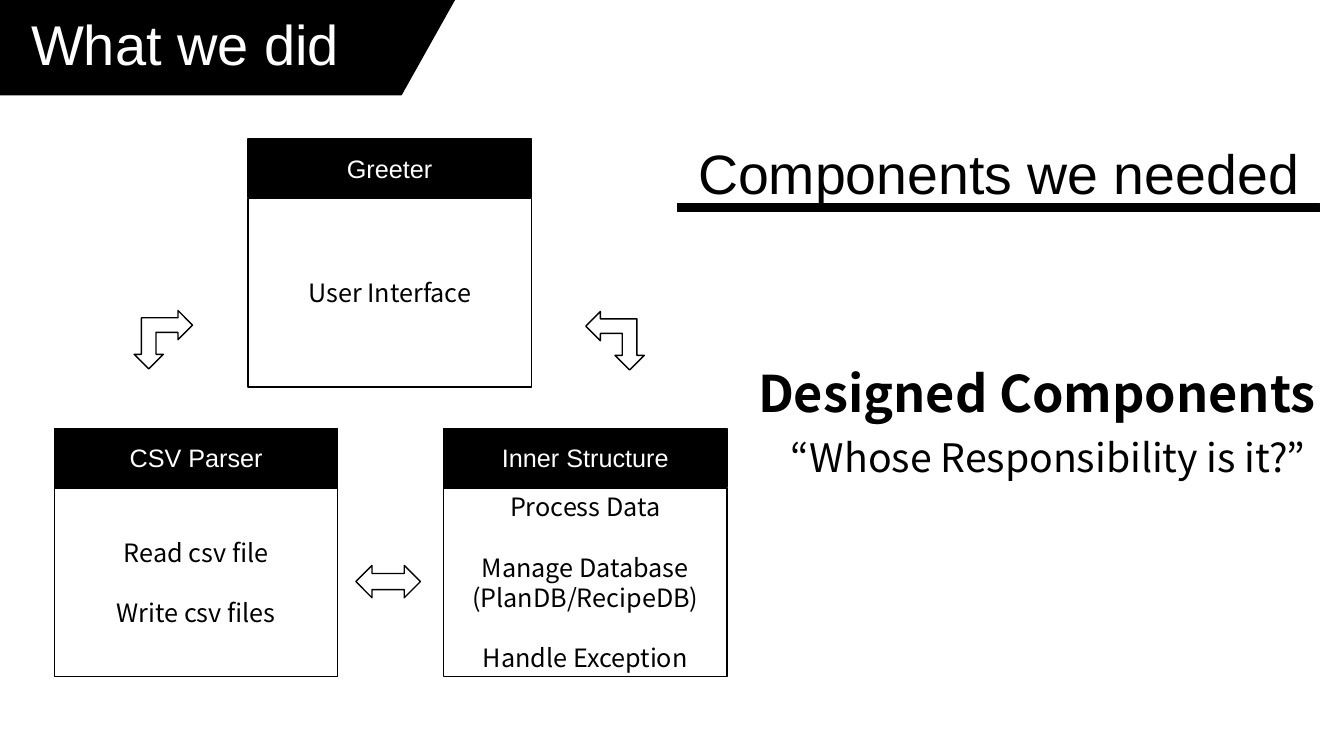
"""Build the slide that shows which components were designed."""
from pptx import Presentation
from pptx.dml.color import RGBColor
from pptx.enum.shapes import MSO_SHAPE
from pptx.enum.text import MSO_ANCHOR, PP_ALIGN
from pptx.util import Inches, Pt

RECT = MSO_SHAPE.RECTANGLE
BAR = MSO_SHAPE.FLOWCHART_PROCESS
BANNER = MSO_SHAPE.PARALLELOGRAM
BENT = MSO_SHAPE.LEFT_UP_ARROW
DOUBLE = MSO_SHAPE.LEFT_RIGHT_ARROW
MIDDLE, TOP = MSO_ANCHOR.MIDDLE, MSO_ANCHOR.TOP
LEFT, CENTER = PP_ALIGN.LEFT, PP_ALIGN.CENTER

THEME = {
    "black": RGBColor(0, 0, 0),
    "white": RGBColor(255, 255, 255),
    "head": "Arial",
    "body": "Noto Sans CJK KR",
    "title": 40,
    "topic": 39.6,
    "claim": 36,
    "quote": 28,
    "card": 18,
    "gap": 21.5,
    "line": 1,
}

CARDS = [
    (2.46, 1.38, "Greeter", ["User Interface"]),
    (0.54, 4.25, "CSV Parser", ["Read csv file", "Write csv files"]),
    (4.4, 4.25, "Inner Structure",
     ["Process Data", "Manage Database\v(PlanDB/RecipeDB)", "Handle Exception"]),
]
WIDE, HEAD, BODY, STEP = 2.81, 0.58, 1.87, 0.59

ARROWS = [
    (BENT, (5.81, 3.09, 0.58, 0.58), 270),
    (BENT, (1.33, 3.08, 0.58, 0.58), 180),
    (DOUBLE, (3.53, 5.61, 0.64, 0.32), 0),
]

LABELS = [
    ("Components we needed", (6.72, 1.15, 6.37, 1.21), "head", "topic", "black", CENTER, MIDDLE, False),
    ("Designed Components", (7.32, 3.54, 5.93, 0.71), "body", "claim", "black", CENTER, TOP, True),
    ("“Whose Responsibility is it?”", (7.43, 4.25, 5.93, 0.57), "body", "quote", "black", CENTER, TOP, False),
    ("What we did", (0.21, 0.05, 3.29, 0.77), "head", "title", "white", LEFT, TOP, False),
]


def write(frame, lines, font, size, color, align=CENTER, anchor=MIDDLE, bold=False):
    frame.text = "\n".join(lines)
    frame.word_wrap = True
    frame.vertical_anchor = anchor
    for i, para in enumerate(frame.paragraphs):
        para.alignment = align
        if i:
            para.space_before = Pt(THEME["gap"])
        for run in para.runs:
            run.font.name = THEME[font]
            run.font.size = Pt(THEME[size])
            run.font.color.rgb = THEME[color]
            run.font.bold = bold


def draw(slide, kind, box, fill):
    shape = slide.shapes.add_shape(kind, *map(Inches, box))
    shape.shadow.inherit = False
    shape.fill.solid()
    shape.fill.fore_color.rgb = THEME[fill]
    shape.line.color.rgb = THEME["black"]
    shape.line.width = Pt(THEME["line"])
    return shape


def main():
    deck = Presentation()
    deck.slide_width, deck.slide_height = Inches(13.33), Inches(7.5)
    slide = deck.slides.add_slide(deck.slide_layouts[6])

    draw(slide, BAR, (6.72, 2.02, 6.37, 0.08), "black")
    for x, y, name, tasks in CARDS:
        body = draw(slide, RECT, (x, y + STEP, WIDE, BODY), "white")
        write(body.text_frame, tasks, "body", "card", "black")
        head = draw(slide, RECT, (x, y, WIDE, HEAD), "black")
        write(head.text_frame, [name], "head", "card", "white")

    for kind, box, turn in ARROWS:
        draw(slide, kind, box, "white").rotation = turn

    banner = draw(slide, BANNER, (-0.91, -0.99, 5.97, 1.93), "black")
    banner.adjustments[0] = 0.56

    for text, box, *style in LABELS:
        label = slide.shapes.add_textbox(*map(Inches, box))
        write(label.text_frame, [text], *style)
        if style[1] == "topic":
            label.text_frame.paragraphs[0].line_spacing = 0.9

    deck.save("out.pptx")


if __name__ == "__main__":
    main()
